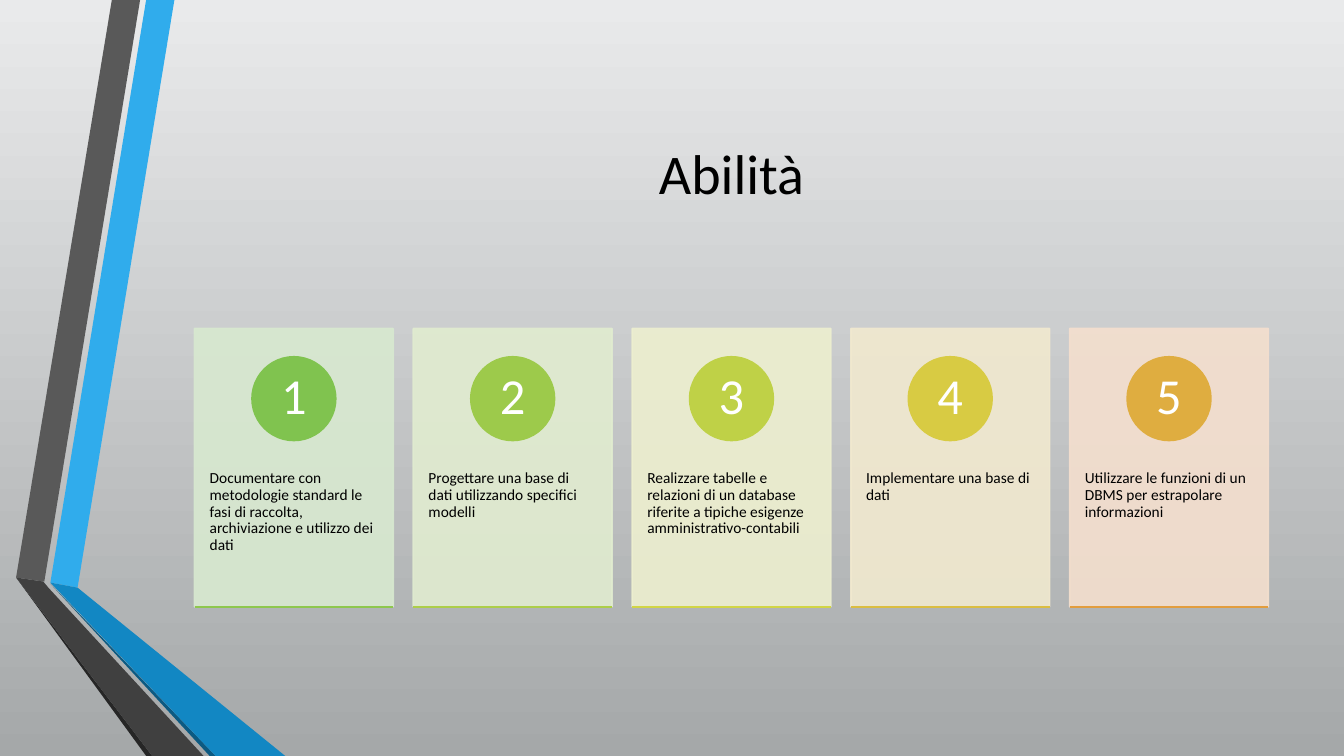
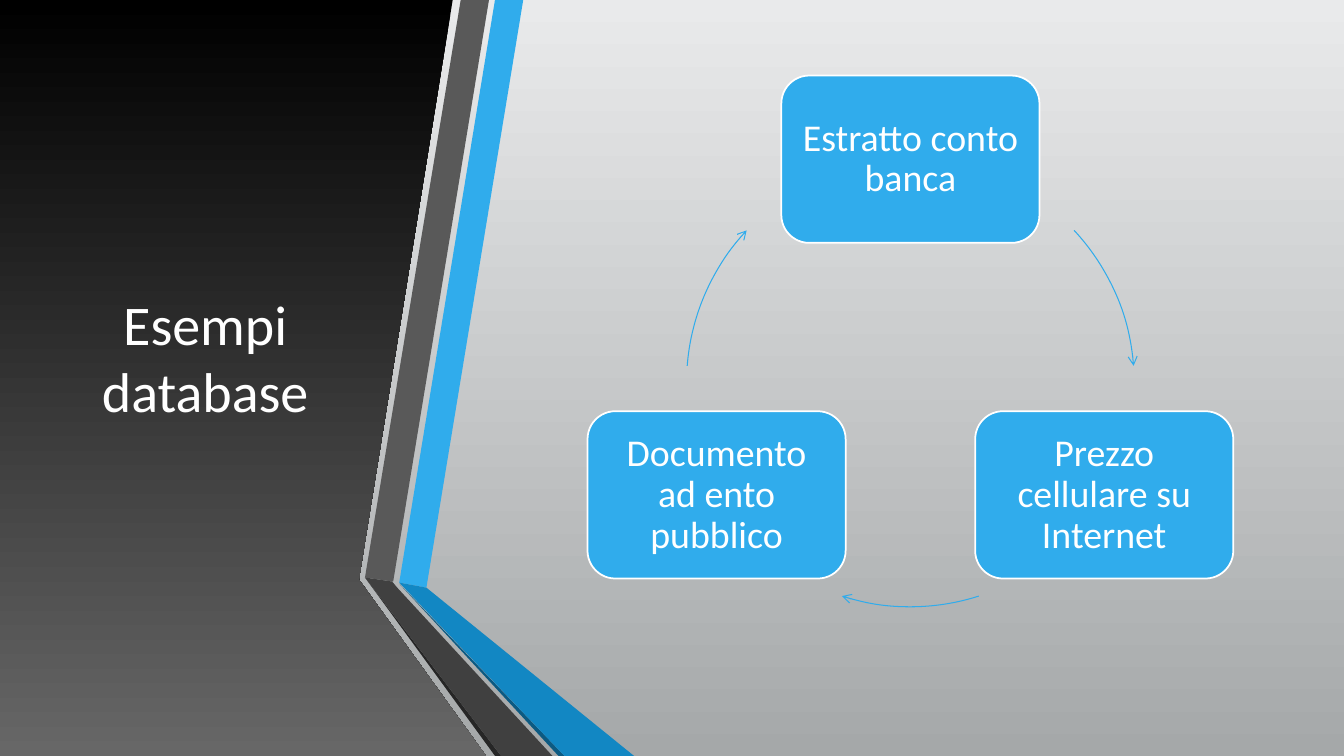
from dataclasses import dataclass
from math import cos, radians, sin

from pptx import Presentation
from pptx.dml.color import RGBColor
from pptx.enum.shapes import MSO_CONNECTOR, MSO_SHAPE
from pptx.enum.text import MSO_ANCHOR, PP_ALIGN
from pptx.oxml.ns import qn
from pptx.oxml.xmlchemy import OxmlElement
from pptx.util import Inches, Pt


@dataclass(frozen=True)
class Theme:
    font: str = "Calibri"
    black: str = "000000"
    white: str = "FFFFFF"
    blue: str = "30ACEC"
    back: tuple = ("E9EAEB", "A5A8A9")
    panel: tuple = ("000000", "676767")
    title: int = 40
    number: int = 36
    node: int = 27
    body: int = 11
    edge: float = 1.25
    thin: float = 0.75


THEME = Theme()
WIDE, HIGH = 13.33, 7.5

# Ribbon facets: colour, outline points
RIBBON = [
    ("30ACEC", [(0.5, 5.78), (0.77, 5.83), (1.73, 0), (1.45, 0)]),
    ("595959", [(1.39, 0), (1.11, 0), (0.16, 5.73), (0.44, 5.77)]),
    ("262626", [(0.16, 5.73), (1.45, HIGH), (1.51, HIGH)]),
    ("0C5A82", [(0.5, 5.79), (2.08, HIGH), (2.14, HIGH)]),
    ("1287C3", [(0.5, 5.78), (2.14, HIGH), (2.83, HIGH), (0.77, 5.83)]),
    ("404040", [(2.02, HIGH), (0.48, 5.83), (0.43, 5.77), (0.16, 5.73),
                (1.51, HIGH)]),
]
PANEL = [(0, 0), (4.49, 0), (3.56, 5.75), (4.82, HIGH), (0, HIGH)]
SHIFT = 3.46

# Cards: text, card colour, circle colour, base line colour
SKILLS = [
    ("Documentare con metodologie standard le fasi di raccolta, "
     "archiviazione e utilizzo dei dati", "D8E9D0", "80C34F", "8EC74D"),
    ("Progettare una base di dati utilizzando specifici modelli",
     "E1ECD0", "9DCA4B", "ADCE49"),
    ("Realizzare tabelle e relazioni di un database riferite a tipiche "
     "esigenze amministrativo-contabili", "EDEFCF", "BFD147", "D1D545"),
    ("Implementare una base di dati", "F1E9CF", "D8CB43", "DBBD41"),
    ("Utilizzare le funzioni di un DBMS per estrapolare informazioni",
     "F4DFCE", "DFAD40", "E29D3E"),
]
# Cycle nodes: text, angle of the node, start and end angle of the next arrow
CYCLE = [
    ("Estratto conto banca", 270, (317, 355.6)),
    ("Prezzo cellulare su Internet", 30, (72.2, 107.8)),
    ("Documento ad ento pubblico", 150, (184.4, 223)),
]


def rgb(code):
    return RGBColor.from_string(code)


def paint(fill, colour):
    """Fill with one colour, or with a (top, bottom) gradient."""
    if isinstance(colour, str):
        fill.solid()
        fill.fore_color.rgb = rgb(colour)
        return
    fill.gradient()
    fill.gradient_angle = 270
    for stop, code in zip(fill.gradient_stops, colour):
        stop.color.rgb = rgb(code)


def put_text(shape, text, size, colour=THEME.white, align=PP_ALIGN.CENTER,
             anchor=MSO_ANCHOR.MIDDLE, inset=(0.1, 0.05, 0.1, 0.05),
             spacing=0.9):
    frame = shape.text_frame
    frame.word_wrap = True
    frame.vertical_anchor = anchor
    (frame.margin_left, frame.margin_top,
     frame.margin_right, frame.margin_bottom) = map(Inches, inset)
    para = frame.paragraphs[0]
    para.alignment = align
    para.line_spacing = spacing
    run = para.add_run()
    run.text = text
    run.font.name = THEME.font
    run.font.size = Pt(size)
    run.font.color.rgb = rgb(colour)


def add_form(slide, kind, box, fill, line):
    shape = slide.shapes.add_shape(kind, *map(Inches, box))
    shape.shadow.inherit = False
    paint(shape.fill, fill)
    shape.line.color.rgb = rgb(line)
    shape.line.width = Pt(THEME.edge)
    return shape


def add_outline(slide, points, fill, shift=0):
    spots = [(Inches(x + shift), Inches(y)) for x, y in points]
    pen = slide.shapes.build_freeform(*spots[0])
    pen.add_line_segments(spots[1:], close=True)
    shape = pen.convert_to_shape()
    shape.shadow.inherit = False
    paint(shape.fill, fill)
    shape.line.fill.background()


def add_ribbon(slide, shift=0):
    for colour, points in RIBBON:
        add_outline(slide, points, colour, shift)


def add_title(slide, text, box, colour):
    title = slide.shapes.add_textbox(*map(Inches, box))
    put_text(title, text, THEME.title, colour, spacing=1.0)


def set_alpha(shape, percent):
    for colour in shape._element.spPr.iter(qn("a:srgbClr")):
        alpha = OxmlElement("a:alpha")
        alpha.set("val", str(percent * 1000))
        colour.append(alpha)


def add_rule(slide, left, top, width, colour):
    rule = slide.shapes.add_connector(
        MSO_CONNECTOR.STRAIGHT, Inches(left), Inches(top),
        Inches(left + width), Inches(top))
    rule.line.color.rgb = rgb(colour)
    rule.line.width = Pt(THEME.edge)
    rule._element.spPr.append(OxmlElement("a:effectLst"))


def add_arc(slide, box, angles):
    """Draw a clockwise arc between two angles, with an arrowhead at its end."""
    arc = slide.shapes.add_shape(MSO_SHAPE.ARC, *map(Inches, box))
    arc.shadow.inherit = False
    for i, angle in enumerate(angles):
        arc.adjustments[i] = angle * 0.6  # 60000 units a degree, over 100000
    arc.fill.background()
    arc.line.color.rgb = rgb(THEME.blue)
    arc.line.width = Pt(THEME.thin)
    tip = OxmlElement("a:tailEnd")
    tip.set("type", "arrow")
    arc.line._get_or_add_ln().append(tip)


def add_slide(prs):
    slide = prs.slides.add_slide(prs.slide_layouts[6])
    paint(slide.background.fill, THEME.back)
    return slide


def skill_slide(prs):
    slide = add_slide(prs)
    add_ribbon(slide)
    left, top, span = 1.93, 3.26, 10.65
    width, height, disc = 1.97, 2.76, 0.83
    add_title(slide, "Abilità", (left, 0.75, span, 1.92), THEME.black)
    step = (span - width) / (len(SKILLS) - 1)
    for i, (text, pale, strong, base) in enumerate(SKILLS):
        x = left + i * step
        card = add_form(slide, MSO_SHAPE.RECTANGLE, (x, top, width, height),
                        pale, pale)
        set_alpha(card, 90)
        put_text(card, text, THEME.body, THEME.black, PP_ALIGN.LEFT,
                 MSO_ANCHOR.TOP, (0.15, 1.41, 0.15, 0.36))
        circle = add_form(slide, MSO_SHAPE.OVAL,
                          (x + (width - disc) / 2, top + 0.28, disc, disc),
                          strong, strong)
        put_text(circle, str(i + 1), THEME.number,
                 inset=(0.06, 0.01, 0.06, 0.01))
        add_rule(slide, x, top + height, width, base)


def cycle_slide(prs):
    slide = add_slide(prs)
    add_outline(slide, PANEL, THEME.panel)
    add_title(slide, "Esempi database", (0.59, 0.75, 2.89, 5.58), THEME.white)
    add_ribbon(slide, SHIFT)
    mid_x, mid_y, radius = 9.03, 3.8, 2.22
    width, height = 2.56, 1.66
    ring = (mid_x - radius, mid_y - radius, 2 * radius, 2 * radius)
    for text, angle, sweep in CYCLE:
        x = mid_x + radius * cos(radians(angle)) - width / 2
        y = mid_y + radius * sin(radians(angle)) - height / 2
        node = add_form(slide, MSO_SHAPE.ROUNDED_RECTANGLE,
                        (x, y, width, height), THEME.blue, THEME.white)
        put_text(node, text, THEME.node, inset=(0.11,) * 4)
        add_arc(slide, ring, sweep)


def main():
    prs = Presentation()
    prs.slide_width, prs.slide_height = Inches(WIDE), Inches(HIGH)
    skill_slide(prs)
    cycle_slide(prs)
    prs.save("out.pptx")


if __name__ == "__main__":
    main()
